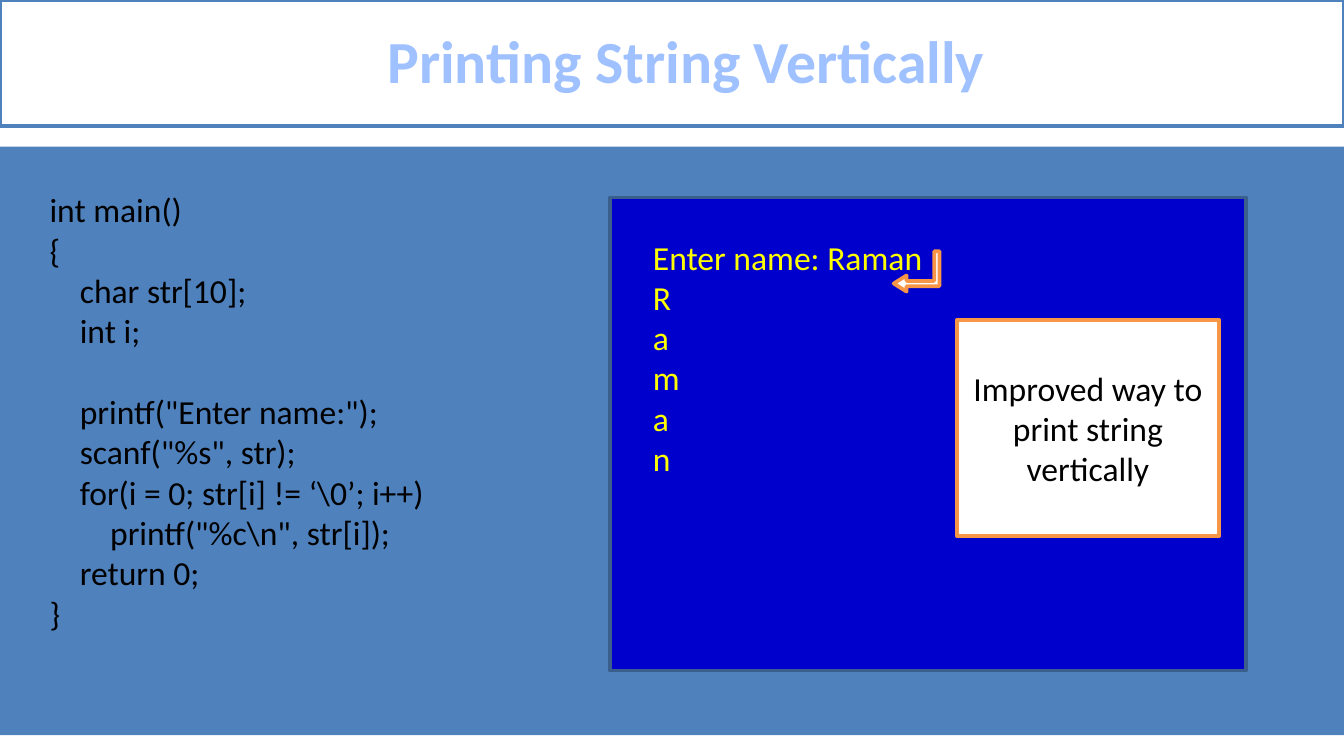
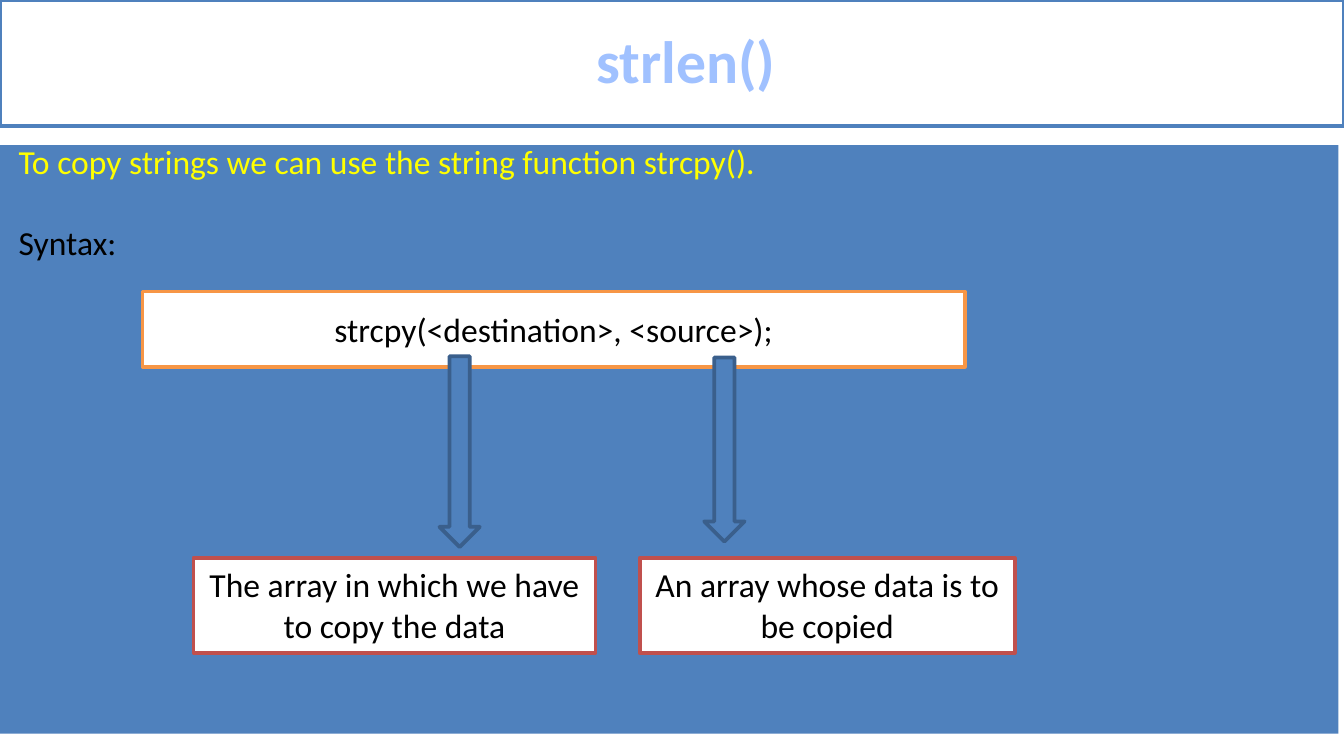
import pptx
import pptx.dml.color
import pptx.enum.shapes
import pptx.enum.text
import pptx.util

Inches = pptx.util.Inches
Pt = pptx.util.Pt
RGBColor = pptx.dml.color.RGBColor
SHAPES = pptx.enum.shapes.MSO_SHAPE
ALIGN = pptx.enum.text.PP_ALIGN
ANCHOR = pptx.enum.text.MSO_ANCHOR
AUTO_SIZE = pptx.enum.text.MSO_AUTO_SIZE

FONT = "Calibri"
WHITE = RGBColor(0xFF, 0xFF, 0xFF)
BLACK = RGBColor(0x00, 0x00, 0x00)
YELLOW = RGBColor(0xFF, 0xFF, 0x00)
BLUE = RGBColor(0x4F, 0x81, 0xBD)
DARK_BLUE = RGBColor(0x3A, 0x5F, 0x8C)
CONSOLE_BLUE = RGBColor(0x00, 0x00, 0xCC)
TITLE_BLUE = RGBColor(0xA0, 0xC1, 0xFF)
ORANGE = RGBColor(0xF7, 0x96, 0x46)
RED = RGBColor(0xC0, 0x50, 0x4D)
BLANK_LINE = Pt(21.6)


def add_shape(slide, kind, left, top, width, height, fill, line=None):
    shape = slide.shapes.add_shape(
        kind, Inches(left), Inches(top), Inches(width), Inches(height))
    shape.shadow.inherit = False
    shape.fill.solid()
    shape.fill.fore_color.rgb = fill
    if line is None:
        shape.line.fill.background()
    else:
        shape.line.color.rgb = line
        shape.line.width = Pt(2)
    return shape


def write_text(shape, text, size=18, color=BLACK, bold=False, align=ALIGN.LEFT,
               anchor=ANCHOR.TOP, wrap=True, grow=False, spacing=None):
    """Write one paragraph per line; an empty line becomes space before the next."""
    frame = shape.text_frame
    frame.word_wrap = wrap
    frame.vertical_anchor = anchor
    frame.auto_size = AUTO_SIZE.SHAPE_TO_FIT_TEXT if grow else AUTO_SIZE.NONE
    paragraph = frame.paragraphs[0]
    gap = False
    for index, line in enumerate(text.split("\n")):
        if not line:
            gap = True
            continue
        if index:
            paragraph = frame.add_paragraph()
        if gap:
            paragraph.space_before = BLANK_LINE
            gap = False
        paragraph.alignment = align
        paragraph.line_spacing = spacing
        run = paragraph.add_run()
        run.text = line
        run.font.name = FONT
        run.font.size = Pt(size)
        run.font.bold = bold
        run.font.color.rgb = color


presentation = pptx.Presentation()
presentation.slide_width = Inches(10)
presentation.slide_height = Inches(10 * 9 / 16)

# Background panel and title band of both slides
slides = []
for title, panel_left, panel_top in [("Printing String Vertically", 0, 1.09),
                                     ("strlen()", -0.04, 1.08)]:
    slide = presentation.slides.add_slide(presentation.slide_layouts[6])
    add_shape(slide, SHAPES.RECTANGLE, panel_left, panel_top, 10, 4.38, BLUE)
    band = add_shape(slide, SHAPES.RECTANGLE, 0, 0, 10, 0.94, WHITE, BLUE)
    band.text_frame.margin_left = Inches(0.31)
    write_text(band, title, size=32, color=TITLE_BLUE, bold=True,
               align=ALIGN.CENTER, anchor=ANCHOR.MIDDLE, spacing=0.96)
    slides.append(slide)
vertical_slide, copy_slide = slides

# Printing a string vertically: program, console output and remark
PROGRAM = r"""int main()
{
    char str[10];
    int i;

    printf("Enter name:");
    scanf("%s", str);
    for(i = 0; str[i] != ‘\0’; i++)
        printf("%c\n", str[i]);
    return 0;
}"""
program = vertical_slide.shapes.add_textbox(
    Inches(0.27), Inches(1.36), Inches(3.02), Inches(3.43))
write_text(program, PROGRAM, wrap=False, grow=True)

add_shape(vertical_slide, SHAPES.RECTANGLE, 4.54, 1.47, 4.73, 3.52,
          CONSOLE_BLUE, DARK_BLUE)
output = vertical_slide.shapes.add_textbox(
    Inches(4.76), Inches(1.71), Inches(2.23), Inches(1.92))
write_text(output, "\n".join(["Enter name: Raman", *"Raman"]),
           color=YELLOW, wrap=False, grow=True)

remark = add_shape(vertical_slide, SHAPES.RECTANGLE, 7.12, 2.38, 1.95, 1.61,
                   WHITE, ORANGE)
write_text(remark, "Improved way to print string\nvertically",
           align=ALIGN.CENTER, anchor=ANCHOR.MIDDLE)

enter_arrow = add_shape(vertical_slide, SHAPES.BENT_UP_ARROW, 6.67, 1.85, 0.3, 0.34,
                        WHITE, ORANGE)
enter_arrow.rotation = 90
enter_arrow.element.spPr.xfrm.set("flipV", "1")
for index, value in enumerate([0.13, 0.2, 0.32]):
    enter_arrow.adjustments[index] = value

# Copying strings: syntax and the meaning of both arguments
introduction = copy_slide.shapes.add_textbox(
    Inches(0.04), Inches(1), Inches(9.85), Inches(3.43))
write_text(introduction, "To copy strings we can use the string function strcpy().\n\nSyntax:")
first_line = introduction.text_frame.paragraphs[0]
first_line.runs[0].font.color.rgb = YELLOW

syntax = add_shape(copy_slide, SHAPES.RECTANGLE, 1.06, 2.17, 6.12, 0.56, WHITE, ORANGE)
write_text(syntax, "strcpy(<destination>, <source>);",
           align=ALIGN.CENTER, anchor=ANCHOR.MIDDLE)

ARGUMENTS = [
    # arrow left, top, height; label left, width, text
    (3.27, 2.65, 1.42, 1.44, 2.99, "The array in which we have\nto copy the data"),
    (5.24, 2.66, 1.37, 4.76, 2.79, "An array whose data is to\nbe copied"),
]
for arrow_left, arrow_top, arrow_height, left, width, text in ARGUMENTS:
    add_shape(copy_slide, SHAPES.DOWN_ARROW, arrow_left, arrow_top, 0.3, arrow_height,
              BLUE, DARK_BLUE)
    label = add_shape(copy_slide, SHAPES.RECTANGLE, left, 4.15, width, 0.71, WHITE, RED)
    write_text(label, text, align=ALIGN.CENTER, wrap=False, grow=True)

presentation.save("out.pptx")
